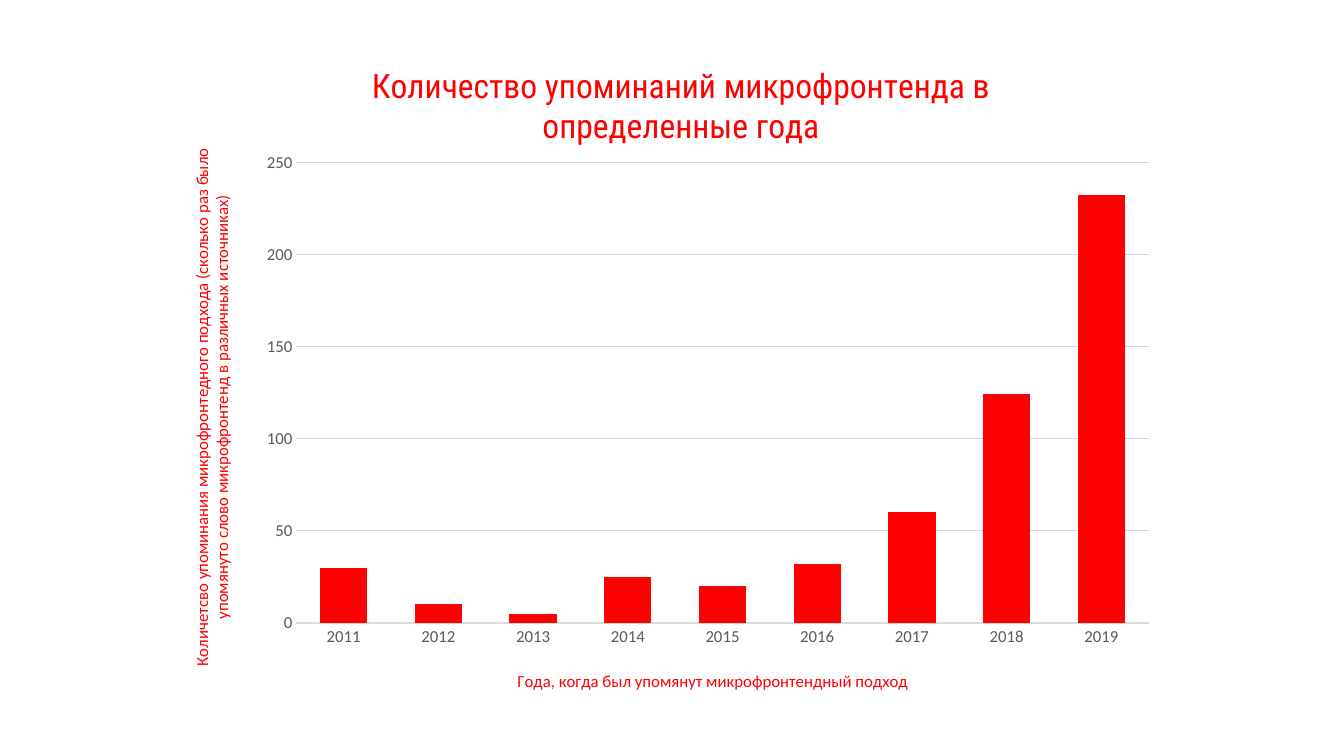
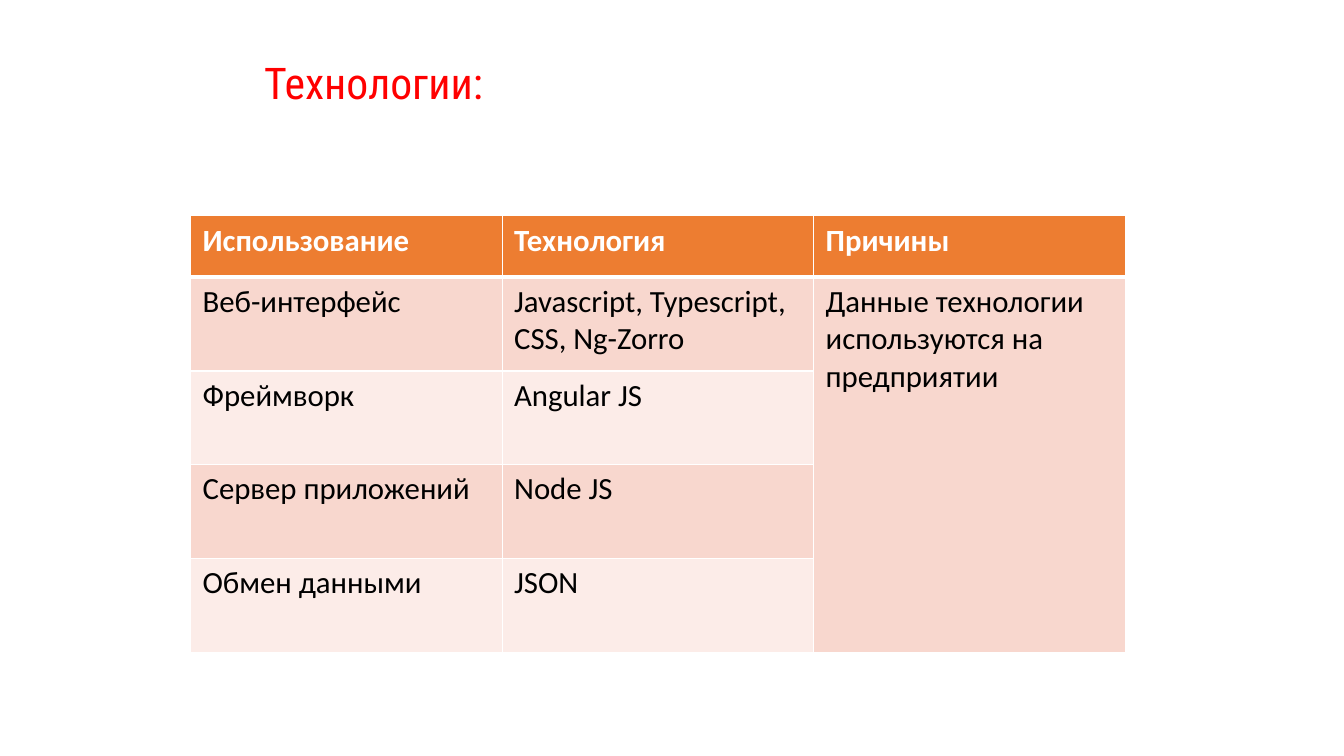
from dataclasses import dataclass

import pptx
import pptx.chart.data
import pptx.dml.color
import pptx.enum.chart
import pptx.enum.text
import pptx.oxml
import pptx.oxml.ns
import pptx.util
from lxml import etree

EMU_PER_PX = 9144
qn = pptx.oxml.ns.qn


@dataclass(frozen=True)
class Theme:
    accent: str = "FF0000"
    axis_text: str = "595959"
    grid: str = "D9D9D9"
    white: str = "FFFFFF"
    black: str = "000000"
    header: str = "ED7D31"
    bands: tuple = ("F8D7CE", "FCECE8")
    title_font: str = "Roboto Condensed"
    body_font: str = "Calibri"
    title_size: float = 31.2
    chart_title_size: int = 24
    table_size: int = 22
    axis_size: int = 12


THEME = Theme()

MENTIONS = {
    "2011": 30, "2012": 10, "2013": 5, "2014": 25, "2015": 20,
    "2016": 32, "2017": 60, "2018": 124, "2019": 232,
}
TECHNOLOGIES = [
    ("Использование", "Технология", "Причины"),
    ("Веб-интерфейс", "Javascript, Typescript, CSS, Ng-Zorro",
     "Данные технологии используются на предприятии"),
    ("Фреймворк", "Angular JS", ""),
    ("Сервер приложений", "Node JS", ""),
    ("Обмен данными", "JSON", ""),
]


def px(*lengths):
    return [pptx.util.Emu(n * EMU_PER_PX) for n in lengths]


def rgb(colour):
    return pptx.dml.color.RGBColor.from_string(colour)


def set_attrs(target, values):
    for name, value in values.items():
        setattr(target, name, value)


def style_font(font, size, colour, name=THEME.body_font, bold=False):
    set_attrs(font, {"size": pptx.util.Pt(size), "name": name, "bold": bold})
    font.color.rgb = rgb(colour)


def style_line(line, colour, width):
    line.color.rgb = rgb(colour)
    line.width = pptx.util.Pt(width)


def add_title(s, text, box):
    tf = s.shapes.add_textbox(*px(*box)).text_frame
    set_attrs(tf, {"word_wrap": True,
                   "vertical_anchor": pptx.enum.text.MSO_ANCHOR.BOTTOM})
    p = tf.paragraphs[0]
    p.line_spacing = 0.8
    r = p.add_run()
    r.text = text
    style_font(r.font, THEME.title_size, THEME.accent, THEME.title_font)


def place(element, index, target=None, **fractions):
    """Give a chart part a fixed layout in fractions of the chart area."""
    for old in element.findall(qn("c:layout")):
        element.remove(old)
    layout = etree.Element(qn("c:layout"))
    manual = etree.SubElement(layout, qn("c:manualLayout"))
    values = {"layoutTarget": target} if target else {}
    values.update(xMode="edge", yMode="edge", **fractions)
    for tag, value in values.items():
        etree.SubElement(manual, qn(f"c:{tag}")).set("val", str(value))
    element.insert(index, layout)


def set_chart_title(title, text, size, x, y, name=THEME.body_font):
    p = title.text_frame.paragraphs[0]
    r = p.add_run()
    r.text = text
    style_font(r.font, size, THEME.accent, name)
    place(title.element, 1, x=x, y=y)


def style_axis(axis, title, x, y):
    none = pptx.enum.chart.XL_TICK_MARK.NONE
    set_attrs(axis, {"major_tick_mark": none, "minor_tick_mark": none})
    style_font(axis.tick_labels.font, THEME.axis_size, THEME.axis_text)
    set_chart_title(axis.axis_title, title, THEME.axis_size, x, y)


def add_mentions_chart(s, box):
    data = pptx.chart.data.CategoryChartData()
    data.categories = list(MENTIONS)
    data.add_series("Series 1", list(MENTIONS.values()))
    kind = pptx.enum.chart.XL_CHART_TYPE.COLUMN_CLUSTERED
    chart = s.shapes.add_chart(kind, *px(*box), data).chart
    style_font(chart.font, 10, THEME.black)
    chart.has_legend = False
    set_chart_title(chart.chart_title,
                    "Количество упоминаний микрофронтенда в определенные года",
                    THEME.chart_title_size, 0.19, 0.04, THEME.title_font)

    plot = chart.plots[0]
    set_attrs(plot, {"gap_width": 100, "overlap": -24, "vary_by_categories": False})
    fill = plot.series[0].format.fill
    fill.solid()
    fill.fore_color.rgb = rgb(THEME.accent)
    place(chart.element.find(f".//{qn('c:plotArea')}"), 0, "inner",
          x=0.12, y=0.195, w=0.86, h=0.68)

    years, counts = chart.category_axis, chart.value_axis
    style_axis(years, "Года, когда был упомянут микрофронтендный подход", 0.34, 0.94)
    style_line(years.format.line, THEME.grid, 1)
    style_axis(counts, "Количетсво упоминания микрофронтедного подхода (сколько раз было "
               "упомянуто слово микрофронтенд в различных источниках)", 0.01, 0.17)
    counts.axis_title.element.find(f".//{qn('a:bodyPr')}").set("rot", "-5400000")
    set_attrs(counts, {"minimum_scale": 0, "maximum_scale": 250, "major_unit": 50,
                       "has_major_gridlines": True})
    counts.format.line.fill.background()
    style_line(counts.major_gridlines.format.line, THEME.grid, 0.75)


def add_borders(cell, widths):
    """Draw white cell borders; widths maps L, R, T, B to points."""
    tcPr = cell._tc.get_or_add_tcPr()
    for side, width in widths.items():
        ln = etree.SubElement(tcPr, qn(f"a:ln{side}"), w=str(pptx.util.Pt(width)))
        solid = etree.SubElement(ln, qn("a:solidFill"))
        etree.SubElement(solid, qn("a:srgbClr"), val=THEME.white)


def fill_cell(cell, text, row):
    header = row == 0
    side, top = px(12, 6)
    set_attrs(cell, {"margin_left": side, "margin_right": side,
                     "margin_top": top, "margin_bottom": top})
    add_borders(cell, {"L": 1, "R": 1, "T": 3 if row == 1 else 1, "B": 3 if header else 1})
    cell.fill.solid()
    cell.fill.fore_color.rgb = rgb(THEME.header if header else THEME.bands[(row - 1) % 2])
    if text:
        r = cell.text_frame.paragraphs[0].add_run()
        r.text = text
        style_font(r.font, THEME.table_size, THEME.white if header else THEME.black,
                   bold=header)


def add_technology_table(s, left, top, column, header_height, row_height):
    rows, cols = len(TECHNOLOGIES), len(TECHNOLOGIES[0])
    height = header_height + (rows - 1) * row_height
    table = s.shapes.add_table(rows, cols, *px(left, top, cols * column, height)).table
    for i, texts in enumerate(TECHNOLOGIES):
        table.rows[i].height = px(row_height if i else header_height)[0]
        for j, text in enumerate(texts):
            fill_cell(table.cell(i, j), text, i)
    table.cell(1, cols - 1).merge(table.cell(rows - 1, cols - 1))


def main():
    prs = pptx.Presentation()
    prs.slide_width, prs.slide_height = px(1333, 750)
    blank = prs.slide_layouts[6]

    add_mentions_chart(prs.slides.add_slide(blank), (176, 30, 983, 672))

    s = prs.slides.add_slide(blank)
    add_title(s, "Технологии:", (252, 56, 895, 56))
    add_technology_table(s, 189, 214, 309, 61, 93)

    prs.save("out.pptx")


if __name__ == "__main__":
    main()
